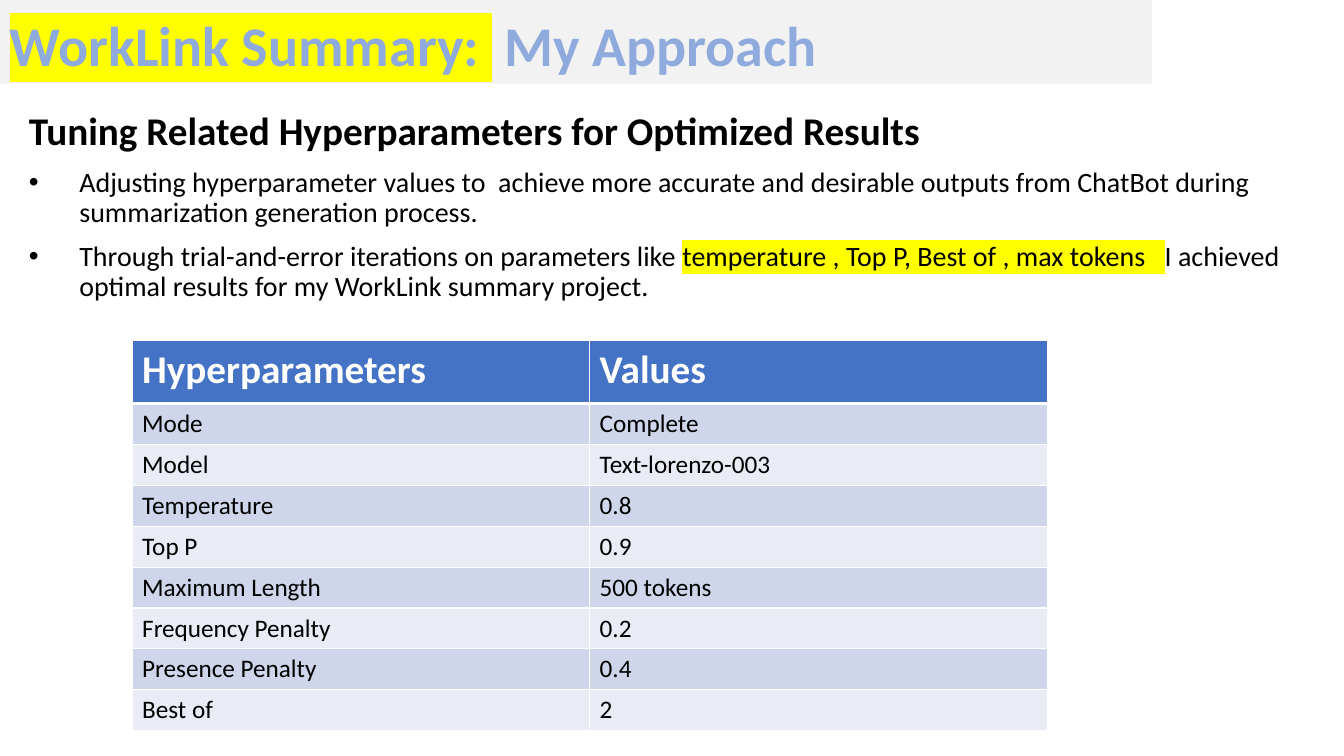
from lxml.etree import SubElement
from pptx import Presentation
from pptx.dml.color import RGBColor
from pptx.enum.shapes import MSO_SHAPE as Shape
from pptx.enum.text import MSO_ANCHOR as Anchor, PP_ALIGN as Align
from pptx.oxml import parse_xml
from pptx.oxml.ns import nsdecls, qn
from pptx.util import Cm, Pt

COLORS = {
    "banner": "F2F2F2", "title": "8FAADC", "text": "000000", "white": "FFFFFF",
    "marker": "FFFF00", "header": "4472C4", "band_dark": "CFD5EA", "band_light": "E9EBF5",
}

TITLE = [("WorkLink Summary: ", True), (" My Approach", False)]
HEADING = [("Tuning Related Hyperparameters for Optimized Results", False)]
BULLETS = [
    [("Adjusting hyperparameter values to  achieve more accurate and desirable outputs "
      "from ChatBot during summarization generation process.", False)],
    [("Through trial-and-error iterations on parameters like ", False),
     ("temperature , Top P, Best of , max tokens   ", True),
     ("I achieved optimal results for my WorkLink summary project.", False)],
]
SETTINGS = [
    ("Hyperparameters", "Values"),
    ("Mode", "Complete"),
    ("Model", "Text-lorenzo-003"),
    ("Temperature", "0.8"),
    ("Top P", "0.9"),
    ("Maximum Length", "500 tokens"),
    ("Frequency Penalty", "0.2"),
    ("Presence Penalty", "0.4"),
    ("Best of", "2"),
]


def rgb(name):
    return RGBColor.from_string(COLORS[name])


def apply(target, values):
    for name, value in values.items():
        setattr(target, name, value)


class SlideBuilder:
    font_name = "Calibri"

    def __init__(self, page):
        self.page = page

    def add_spans(self, para, spans, size, color, bold=False, **layout):
        """Fill a paragraph with (text, highlighted) spans."""
        apply(para, {"alignment": Align.LEFT, **layout})
        for text, highlighted in spans:
            span = para.add_run()
            span.text = text
            apply(span.font, {"name": self.font_name, "size": Pt(size), "bold": bold})
            span.font.color.rgb = rgb(color)
            if highlighted:
                self.highlight(span)

    def highlight(self, span):
        marker = parse_xml(f'<a:highlight {nsdecls("a")}>'
                           f'<a:srgbClr val="{COLORS["marker"]}"/></a:highlight>')
        span._r.get_or_add_rPr().find(qn("a:solidFill")).addnext(marker)

    def bullet(self, para):
        props = para._p.get_or_add_pPr()
        props.set("marL", str(Cm(1.27)))
        props.set("indent", str(-Cm(1.27)))
        SubElement(props, qn("a:buFont")).set("typeface", "Arial")
        SubElement(props, qn("a:buChar")).set("char", "•")

    def banner(self, left, top, width, height, spans):
        box = self.page.shapes.add_shape(
            Shape.RECTANGLE, Cm(left), Cm(top), Cm(width), Cm(height))
        box.shadow.inherit = False
        box.fill.solid()
        box.fill.fore_color.rgb = rgb("banner")
        box.line.fill.background()
        apply(box.text_frame, {"word_wrap": True, "vertical_anchor": Anchor.BOTTOM})
        self.add_spans(box.text_frame.paragraphs[0], spans, 40, "title", True,
                       line_spacing=0.9)

    def body(self, left, top, width, height, heading, bullets):
        box = self.page.shapes.add_textbox(Cm(left), Cm(top), Cm(width), Cm(height))
        frame = box.text_frame
        frame.word_wrap = True
        spacing = {"line_spacing": 0.9, "space_before": Pt(10)}
        self.add_spans(frame.paragraphs[0], heading, 28, "text", True, **spacing)
        for spans in bullets:
            para = frame.add_paragraph()
            self.add_spans(para, spans, 20, "text", **spacing)
            self.bullet(para)

    def borders(self, cell, bottom):
        props = cell._tc.get_or_add_tcPr()
        widths = {"lnL": 1, "lnR": 1, "lnT": 1, "lnB": bottom}
        for place, (side, width) in enumerate(widths.items()):
            props.insert(place, parse_xml(
                f'<a:{side} {nsdecls("a")} w="{Pt(width)}"><a:solidFill>'
                f'<a:srgbClr val="{COLORS["white"]}"/></a:solidFill></a:{side}>'))

    def table(self, left, top, column_width, header_height, row_height, rows):
        columns = len(rows[0])
        height = header_height + row_height * (len(rows) - 1)
        grid = self.page.shapes.add_table(
            len(rows), columns, Cm(left), Cm(top),
            Cm(column_width * columns), Cm(height)).table
        for column in grid.columns:
            column.width = Cm(column_width)
        for index, values in enumerate(rows):
            is_header = index == 0
            grid.rows[index].height = Cm(header_height if is_header else row_height)
            band = "band_dark" if index % 2 else "band_light"
            for cell, value in zip(grid.rows[index].cells, values):
                cell.fill.solid()
                cell.fill.fore_color.rgb = rgb("header" if is_header else band)
                self.borders(cell, 3 if is_header else 1)
                self.add_spans(cell.text_frame.paragraphs[0], [(value, False)],
                               28 if is_header else 18,
                               "white" if is_header else "text", is_header)


def main():
    deck = Presentation()
    apply(deck, {"slide_width": Cm(33.87), "slide_height": Cm(19.05)})
    builder = SlideBuilder(deck.slides.add_slide(deck.slide_layouts[6]))
    builder.banner(0, 0, 29.03, 2.11, TITLE)
    builder.body(0.48, 2.69, 33.15, 15.75, HEADING, BULLETS)
    builder.table(3.33, 8.59, 11.53, 1.58, 1.03, SETTINGS)
    deck.save("out.pptx")


if __name__ == "__main__":
    main()
